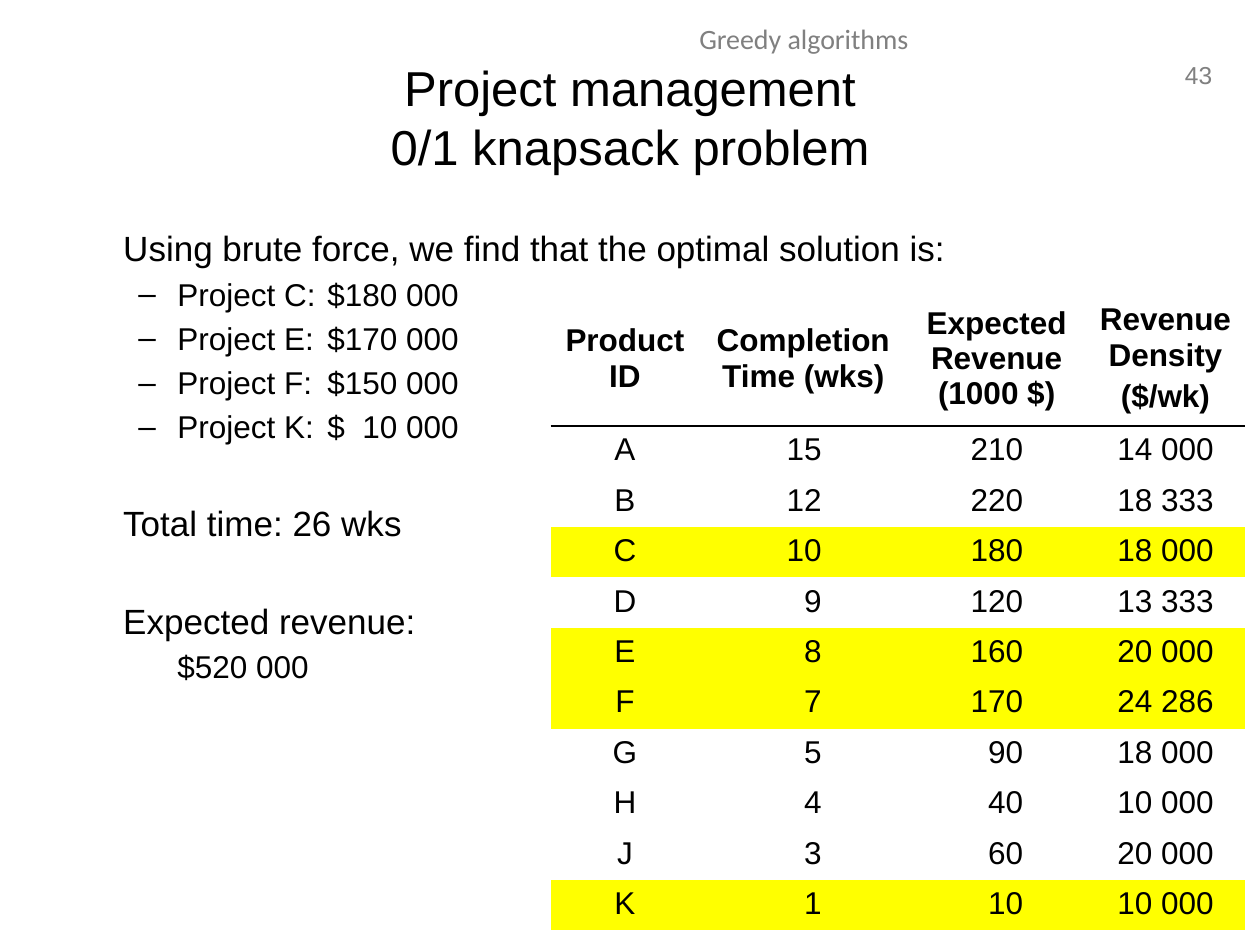
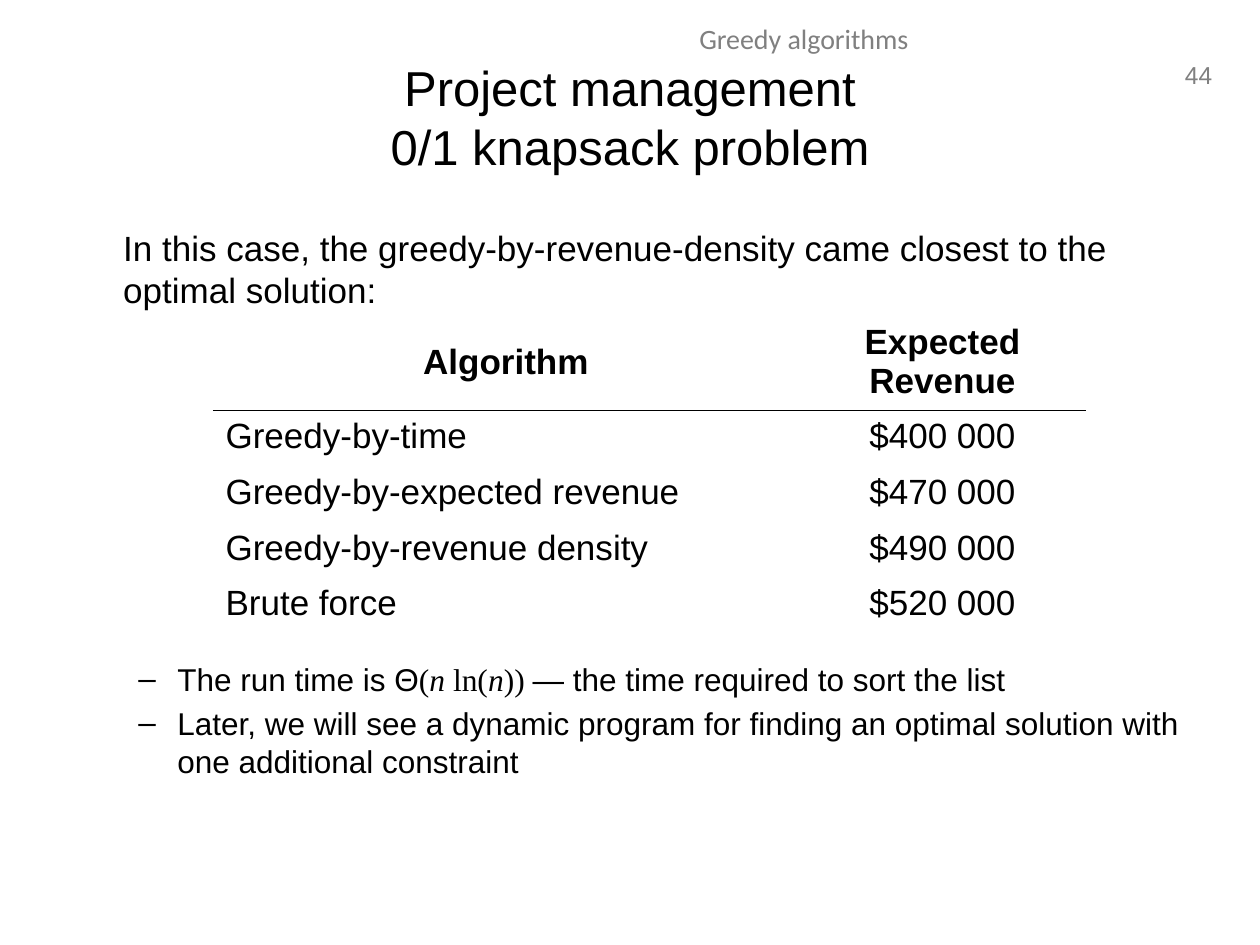
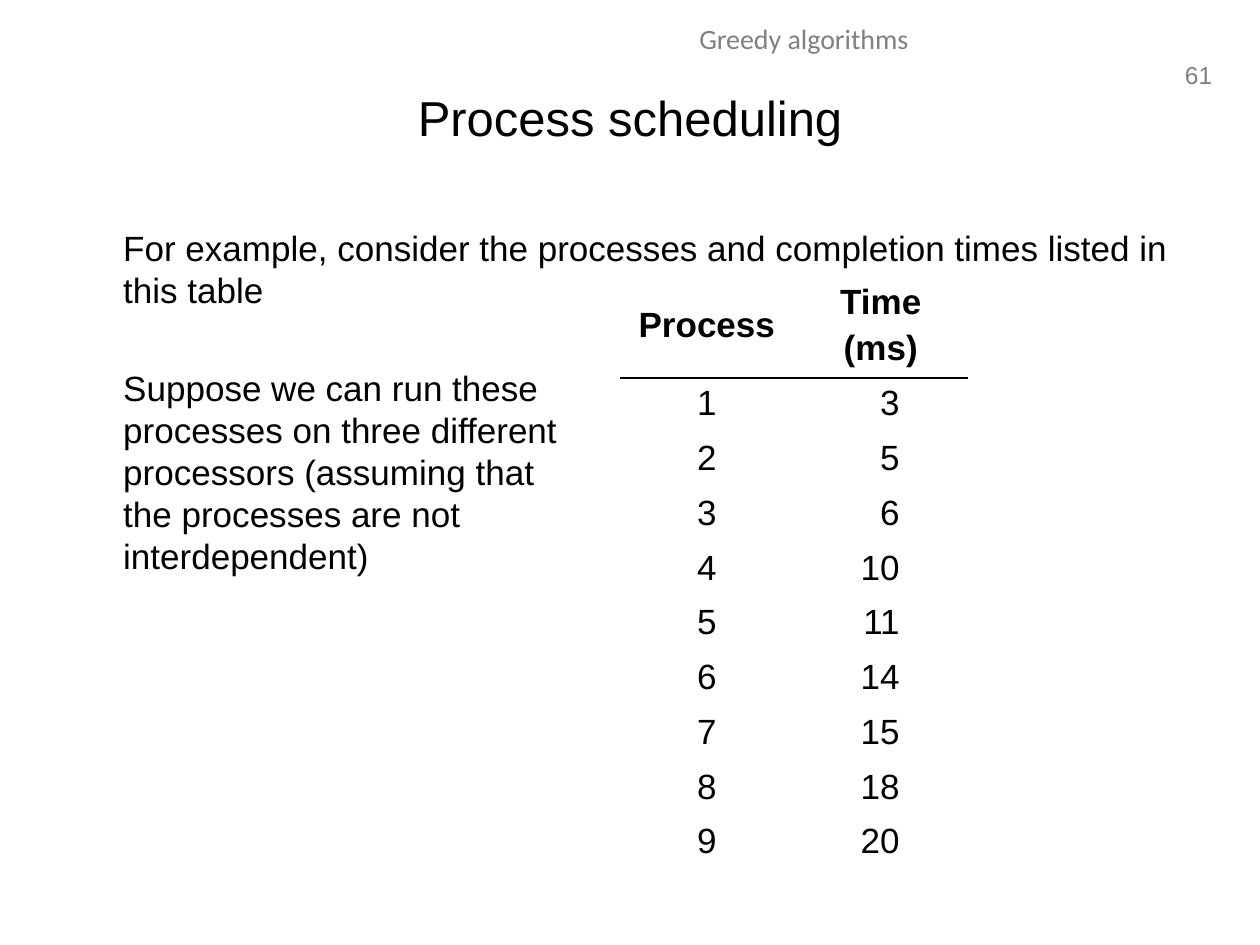
from dataclasses import dataclass, field
from typing import Optional

from lxml import etree
from pptx import Presentation
from pptx import util as u
from pptx.dml.color import RGBColor
from pptx.enum import text
from pptx.oxml.ns import qn

Inches, Pt = u.Inches, u.Pt
ALIGN, ANCHOR = text.PP_ALIGN, text.MSO_ANCHOR
NO_STYLE = "{2D5ABB26-0587-4C30-8999-92F81FD0307C}"


@dataclass(frozen=True)
class Theme:
    ink: str = "000000"
    muted: str = "808080"
    highlight: str = "FFFF00"
    sans: str = "Arial"
    header: str = "Calibri"
    math: str = "Times New Roman"
    title_size: int = 28
    body_size: int = 20
    item_size: int = 18
    running_size: int = 16
    number_size: int = 14
    leading: float = 1.2
    para_gap: float = 0.2


THEME = Theme()


@dataclass(frozen=True)
class Run:
    text: str
    font: str = THEME.sans
    italic: bool = False
    tracking: int = 0  # extra width per character, in points


@dataclass(frozen=True)
class Para:
    """Body paragraph; skipped_lines is the empty space above it, in body lines."""
    runs: list[Run]
    size: int = THEME.body_size
    left: float = 0.38
    indent: float = 0
    bullet: str = ""
    skipped_lines: int = 0


@dataclass(frozen=True)
class Column:
    heading: str
    width: float
    align: ALIGN = ALIGN.CENTER
    right_margin: float = 0.1


@dataclass(frozen=True)
class Grid:
    left: float
    top: float
    height: float
    heading_height: float
    size: int
    columns: list[Column]
    rows: list[tuple[str, ...]]
    marked: set[str] = field(default_factory=set)  # first cells of highlighted rows


@dataclass(frozen=True)
class Page:
    number: int
    title: str
    body: list[Para]
    grid: Grid


def line(words: str, skipped_lines: int = 0) -> Para:
    return Para([Run(words)], skipped_lines=skipped_lines)


def item(*runs: Run, bullet: str = "–", skipped_lines: int = 0) -> Para:
    return Para(list(runs), THEME.item_size, 0.81, -0.31 if bullet else 0, bullet, skipped_lines)


def style_font(font, size: float, name: str = THEME.sans, color: str = THEME.ink,
               bold: bool = False, italic: bool = False) -> None:
    for attr, value in dict(size=Pt(size), name=name, bold=bold, italic=italic).items():
        setattr(font, attr, value)
    font.color.rgb = RGBColor.from_string(color)


def add_box(s, left: float, top: float, width: float, height: float,
            anchor: ANCHOR = ANCHOR.TOP):
    tf = s.shapes.add_textbox(*map(Inches, (left, top, width, height))).text_frame
    tf.word_wrap, tf.vertical_anchor = True, anchor
    return tf


def add_label(s, words: str, box: tuple[float, ...], align: ALIGN, size: int,
              name: str = THEME.sans, color: str = THEME.muted,
              anchor: ANCHOR = ANCHOR.TOP, leading: Optional[float] = None) -> None:
    p = add_box(s, *box, anchor).paragraphs[0]
    p.text, p.alignment = words, align
    if leading:
        p.line_spacing = Pt(size * leading)
    for r in p.runs:
        style_font(r.font, size, name, color)


def add_run(p, run: Run, size: int) -> None:
    """Add the run, with a line break at each newline in its text."""
    for i, words in enumerate(run.text.split("\n")):
        if i:
            p.add_line_break()
        r = p.add_run()
        r.text = words
        style_font(r.font, size, run.font, italic=run.italic)
        if run.tracking:
            r._r.get_or_add_rPr().set("spc", str(run.tracking * 100))


def add_body(s, paras: list[Para]) -> None:
    tf = add_box(s, 0.5, 1.75, 9, 4.95)
    body_line = THEME.body_size * (THEME.leading + THEME.para_gap)
    for i, para in enumerate(paras):
        p = tf.add_paragraph() if i else tf.paragraphs[0]
        p.level = 1 if para.size == THEME.item_size else 0
        p.line_spacing = Pt(para.size * THEME.leading)
        if i:
            p.space_before = Pt(para.size * THEME.para_gap + para.skipped_lines * body_line)
        pPr = p._p.get_or_add_pPr()
        pPr.set("marL", str(Inches(para.left)))
        pPr.set("indent", str(Inches(para.indent)))
        if para.bullet:
            etree.SubElement(pPr, qn("a:buFont"), typeface=THEME.sans)
            etree.SubElement(pPr, qn("a:buChar"), char=para.bullet)
        for run in para.runs:
            add_run(p, run, para.size)


def rule_below(cell) -> None:
    ln = etree.Element(qn("a:lnB"), w=str(Pt(1)))
    fill = etree.SubElement(ln, qn("a:solidFill"))
    etree.SubElement(fill, qn("a:srgbClr"), val=THEME.ink)
    cell._tc.get_or_add_tcPr().insert(0, ln)


def fill_cell(cell, words: str, size: int, align: ALIGN, bold: bool = False) -> None:
    cell.text = words
    for i, p in enumerate(cell.text_frame.paragraphs):
        p.alignment = align
        if i:
            p.space_before = Pt(size * THEME.para_gap)
        for r in p.runs:
            style_font(r.font, size, bold=bold)


def add_grid(s, grid: Grid) -> None:
    width = sum(column.width for column in grid.columns)
    table = s.shapes.add_table(len(grid.rows) + 1, len(grid.columns), Inches(grid.left),
                               Inches(grid.top), Inches(width), Inches(grid.height)).table
    table.first_row = table.horz_banding = False
    table._tbl.tblPr.find(qn("a:tableStyleId")).text = NO_STYLE
    row_height = (grid.height - grid.heading_height) / len(grid.rows)
    for i, row in enumerate(table.rows):
        row.height = Inches(row_height if i else grid.heading_height)

    for c, column in enumerate(grid.columns):
        table.columns[c].width = Inches(column.width)
        heading = table.cell(0, c)
        fill_cell(heading, column.heading, grid.size, ALIGN.CENTER, bold=True)
        heading.vertical_anchor = ANCHOR.MIDDLE
        heading.fill.background()
        rule_below(heading)
        for r, values in enumerate(grid.rows, 1):
            cell = table.cell(r, c)
            fill_cell(cell, values[c], grid.size, column.align)
            cell.margin_right = Inches(column.right_margin)
            if values[0] in grid.marked:
                cell.fill.solid()
                cell.fill.fore_color.rgb = RGBColor.from_string(THEME.highlight)
            else:
                cell.fill.background()


def add_page(prs, page: Page) -> None:
    s = prs.slides.add_slide(prs.slide_layouts[6])
    add_label(s, str(page.number), (9.28, 0.43, 0.44, 0.33), ALIGN.RIGHT, THEME.number_size)
    add_label(s, "Greedy algorithms", (3.19, 0.12, 6.38, 0.4), ALIGN.CENTER,
              THEME.running_size, THEME.header)
    add_label(s, page.title, (0.5, 0.3, 9, 1.25), ALIGN.CENTER, THEME.title_size,
              color=THEME.ink, anchor=ANCHOR.MIDDLE, leading=THEME.leading)
    add_body(s, page.body)
    add_grid(s, page.grid)


KNAPSACK_TITLE = "Project management\v0/1 knapsack problem"

PROJECTS = Grid(
    4.37, 2.31, 5.06, 1.07, THEME.item_size,
    [Column("Product ID", 1.18),
     Column("Completion Time (wks)", 1.65, ALIGN.RIGHT, 0.68),
     Column("Expected Revenue (1000 $)", 1.42, ALIGN.RIGHT, 0.5),
     Column("Revenue Density\n($/wk)", 1.26)],
    [("A", "15", "210", "14 000"),
     ("B", "12", "220", "18 333"),
     ("C", "10", "180", "18 000"),
     ("D", "9", "120", "13 333"),
     ("E", "8", "160", "20 000"),
     ("F", "7", "170", "24 286"),
     ("G", "5", "90", "18 000"),
     ("H", "4", "40", "10 000"),
     ("J", "3", "60", "20 000"),
     ("K", "1", "10", "10 000")],
    marked={"C", "E", "F", "K"})

ALGORITHMS = Grid(
    1.69, 2.49, 2.54, 0.77, THEME.body_size,
    [Column("Algorithm", 4.65, ALIGN.LEFT), Column("Expected Revenue", 2.28)],
    [("Greedy-by-time", "$400 000"),
     ("Greedy-by-expected revenue", "$470 000"),
     ("Greedy-by-revenue density", "$490 000"),
     ("Brute force", "$520 000")])

PROCESS_TIMES = (3, 5, 6, 10, 11, 14, 15, 18, 20)
PROCESSES = Grid(
    4.92, 2.17, 4.74, 0.83, THEME.body_size,
    [Column("Process", 1.38), Column("Time\n(ms)", 1.38, ALIGN.RIGHT, 0.54)],
    [(str(n), str(time)) for n, time in enumerate(PROCESS_TIMES, 1)])

PAGES = [
    Page(43, KNAPSACK_TITLE, [
        line("Using brute force, we find that the optimal solution is:"),
        item(Run("Project C:\t$180 000")),
        item(Run("Project E:\t$170 000")),
        item(Run("Project F:\t$150 000")),
        item(Run("Project K:\t$"), Run(" ", tracking=5), Run("10 000")),
        line("Total time: 26 wks", skipped_lines=1),
        line("Expected revenue:", skipped_lines=1),
        item(Run("$520 000"), bullet=""),
    ], PROJECTS),
    Page(44, KNAPSACK_TITLE, [
        line("In this case, the greedy-by-revenue-density came closest to the optimal solution:"),
        item(Run("The run time is Θ"), Run("(", THEME.math), Run("n ", THEME.math, True),
             Run("ln(", THEME.math), Run("n", THEME.math, True), Run(")) ", THEME.math),
             Run("— the time required to sort the list"), skipped_lines=7),
        item(Run("Later, we will see a dynamic program for finding an optimal solution with "
                 "one additional constraint")),
    ], ALGORITHMS),
    Page(61, "Process scheduling", [
        line("For example, consider the processes and completion times listed in\nthis table"),
        line("Suppose we can run these\nprocesses on three different\nprocessors (assuming that"
             "\nthe processes are not\ninterdependent)", skipped_lines=1),
    ], PROCESSES),
]


def main() -> None:
    prs = Presentation()
    prs.slide_width, prs.slide_height = Inches(10), Inches(7.5)
    for page in PAGES:
        add_page(prs, page)
    prs.save("out.pptx")


if __name__ == "__main__":
    main()
